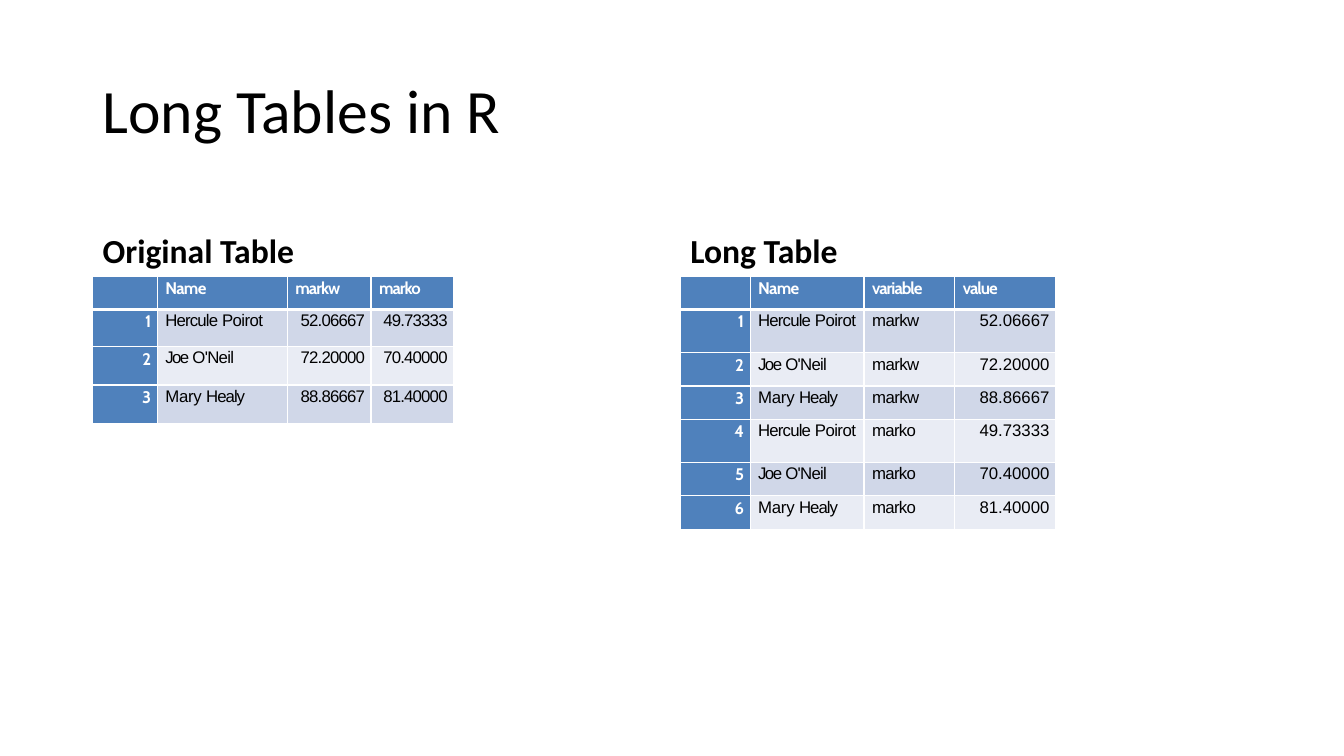
"""Build a slide that sets a wide R table beside its long form."""
from dataclasses import dataclass

from lxml import etree
from pptx import Presentation
from pptx.dml.color import RGBColor
from pptx.enum.text import MSO_ANCHOR, PP_ALIGN
from pptx.oxml.ns import qn
from pptx.util import Pt

MIDDLE, BOTTOM = MSO_ANCHOR.MIDDLE, MSO_ANCHOR.BOTTOM
LEFT, RIGHT = PP_ALIGN.LEFT, PP_ALIGN.RIGHT
EMU_PER_PX = 9144
PAGE_SIZE = (1333, 750)

TITLE = ("Long Tables in R", (92, 40, 1150, 145))
TABLE_TOP = 274
PEOPLE = ["Hercule Poirot", "Joe O'Neil", "Mary Healy"]
MARKS = {
    "markw": ["52.06667", "72.20000", "88.86667"],
    "marko": ["49.73333", "70.40000", "81.40000"],
}
WIDE_ROWS = list(zip(PEOPLE, *MARKS.values()))
LONG_ROWS = [
    (person, variable, value)
    for variable, values in MARKS.items()
    for person, value in zip(PEOPLE, values)
]
PANELS = [
    {
        "heading": "Original Table",
        "heading_box": (92, 184, 564, 90),
        "header": ["Name", *MARKS],
        "rows": WIDE_ROWS,
        "widths": [64, 129, 83, 82],
        "heights": [33, 37, 38, 38],
        "value_tracking": -0.6,
    },
    {
        "heading": "Long Table",
        "heading_box": (675, 184, 567, 90),
        "header": ["Name", "variable", "value"],
        "rows": LONG_ROWS,
        "widths": [69, 113, 90, 100],
        "heights": [33, 43, 33, 33, 43, 33, 33],
        "value_tracking": 0,
    },
]
TRACKING = {
    "Hercule Poirot": (-0.6, -0.4),
    "Joe O'Neil": (-1.1, -0.5),
    "Mary Healy": (-0.2, -0.7),
    "markw": (-0.4,),
    "marko": (-0.5,),
}


@dataclass(frozen=True)
class Theme:
    text: str = "000000"
    white: str = "FFFFFF"
    accent: str = "4F81BC"
    bands: tuple = ("D0D7E8", "E9ECF4")
    heading_font: str = "Calibri"
    label_font: str = "Cabin"
    body_font: str = "Arial"
    title_size: int = 44
    heading_size: int = 24
    cell_size: int = 12
    thin: int = 1
    thick: int = 3


THEME = Theme()


def px(length):
    return round(length * EMU_PER_PX)


def write(frame, text, *, font, size, color, bold=False, align=LEFT,
          line_spacing=None, tracking=(0,)):
    para = frame.paragraphs[0]
    para.alignment = align
    para.line_spacing = line_spacing
    words = text.split(" ", 1) if len(tracking) > 1 else [text]
    for index, (word, spacing) in enumerate(zip(words, tracking)):
        span = para.add_run()
        span.text = word if index == len(words) - 1 else word + " "
        span.font.name = font
        span.font.size = Pt(size)
        span.font.bold = bold
        span.font.color.rgb = RGBColor.from_string(color)
        span.font._element.set("spc", str(round(spacing * 100)))


def add_heading(page, text, place, *, anchor, size, bold=False):
    box = page.shapes.add_textbox(*map(px, place))
    frame = box.text_frame
    frame.word_wrap = True
    frame.vertical_anchor = anchor
    write(frame, text, font=THEME.heading_font, size=size, color=THEME.text,
          bold=bold, line_spacing=0.9)


def set_borders(cell, widths):
    properties = cell._tc.get_or_add_tcPr()
    for index, (side, width) in enumerate(widths.items()):
        line = etree.Element(qn(f"a:ln{side}"), w=str(Pt(width)))
        fill = etree.SubElement(line, qn("a:solidFill"))
        etree.SubElement(fill, qn("a:srgbClr"), val=THEME.white)
        properties.insert(index, line)


def style_cell(cell, row, column):
    labelled = row == 0 or column == 0
    color = THEME.accent if labelled else THEME.bands[(row - 1) % 2]
    cell.fill.solid()
    cell.fill.fore_color.rgb = RGBColor.from_string(color)
    cell.margin_left, cell.margin_right = px(8), px(6)
    cell.margin_top, cell.margin_bottom = px(2), 0
    set_borders(cell, {
        "L": THEME.thin,
        "R": THEME.thin,
        "T": THEME.thick if row == 1 else THEME.thin,
        "B": THEME.thick if row == 0 else THEME.thin,
    })


def fill_cell(cell, text, row, column, value_tracking):
    labelled = row == 0 or column == 0
    numeric = row > 0 and text[0].isdigit()
    if row == 0:
        tracking = (-0.5 if text == "Name" else -0.7,)
    elif column == 0:
        tracking = (0,)
    else:
        tracking = TRACKING.get(text, (value_tracking,))
    write(cell.text_frame, text, size=THEME.cell_size, bold=labelled,
          font=THEME.label_font if labelled else THEME.body_font,
          color=THEME.white if labelled else THEME.text,
          align=RIGHT if numeric else LEFT, tracking=tracking)


def add_data_table(page, panel):
    widths, heights = panel["widths"], panel["heights"]
    left = panel["heading_box"][0]
    table = page.shapes.add_table(
        len(heights), len(widths), px(left), px(TABLE_TOP),
        px(sum(widths)), px(sum(heights))).table
    for column, width in zip(table.columns, widths):
        column.width = px(width)
    for row, height in zip(table.rows, heights):
        row.height = px(height)
    lines = [["", *panel["header"]]]
    lines += [[str(number), *row] for number, row in enumerate(panel["rows"], 1)]
    for row, line in enumerate(lines):
        for column, text in enumerate(line):
            cell = table.cell(row, column)
            style_cell(cell, row, column)
            if text:
                fill_cell(cell, text, row, column, panel["value_tracking"])


def main():
    deck = Presentation()
    deck.slide_width, deck.slide_height = map(px, PAGE_SIZE)
    page = deck.slides.add_slide(deck.slide_layouts[6])
    add_heading(page, *TITLE, anchor=MIDDLE, size=THEME.title_size)
    for panel in PANELS:
        add_heading(page, panel["heading"], panel["heading_box"],
                    anchor=BOTTOM, size=THEME.heading_size, bold=True)
        add_data_table(page, panel)
    deck.save("out.pptx")


if __name__ == "__main__":
    main()
